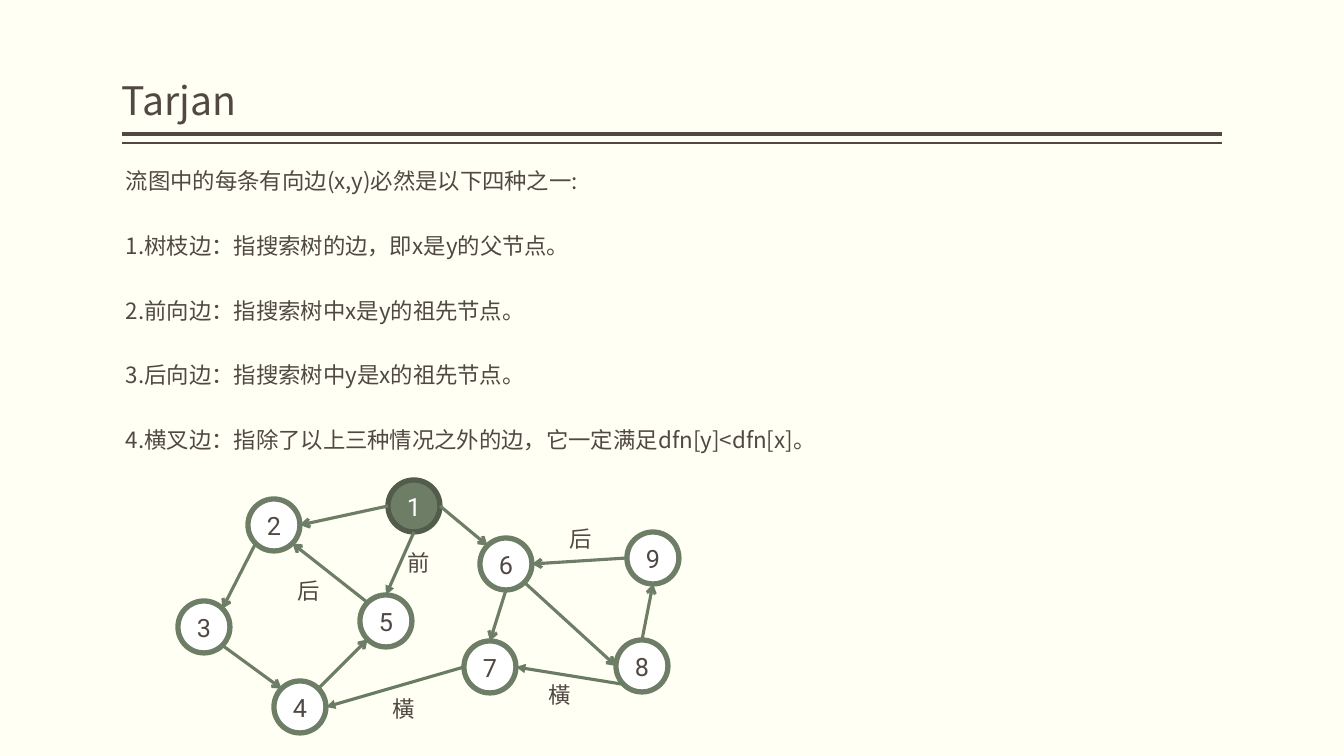
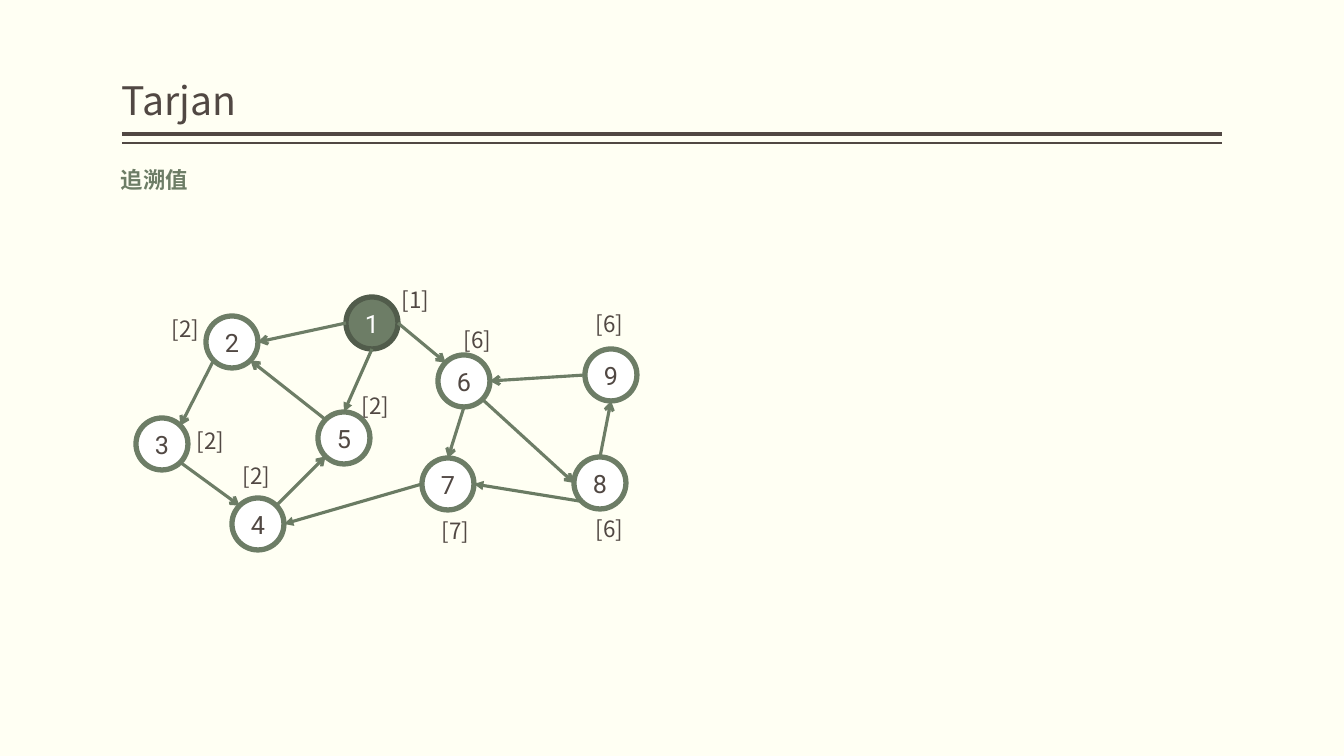
from dataclasses import dataclass
from math import cos, radians, sin

from lxml.etree import SubElement
from pptx import Presentation
from pptx.dml.color import RGBColor
from pptx.enum.shapes import MSO_CONNECTOR, MSO_SHAPE
from pptx.enum.text import MSO_ANCHOR, PP_ALIGN
from pptx.oxml.ns import qn
from pptx.util import Emu, Pt


@dataclass(frozen=True)
class Theme:
    background: str = "FFFFF3"
    ink: str = "514843"
    green: str = "6D7D66"
    special_edge: str = "6A7B63"
    root_line: str = "515C4B"
    white: str = "FFFFFF"
    text_font: str = "Noto Sans CJK SC"
    number_font: str = "Roboto"
    title_size: int = 28
    body_size: int = 16
    number_size: int = 18
    paragraph_gap: int = 8
    node_line: float = 3.78
    edge_line: float = 2.25


THEME = Theme()
PX = 914400 / 100.8
SLIDE_SIZE = (1344, 756)
TITLE_BOX = (122, 8, 1100, 121)
RULES = [(134, 3), (143, 1)]  # y, line width in points
NODE_DIAMETER = 52
LABEL_SIZE = (65, 37)
ROOT = 1

# Node centres and label corners are measured from the graph's origin.
NODES = {
    1: (236, 26), 2: (96, 45), 3: (26, 147), 4: (122, 227), 5: (208, 141),
    6: (328, 84), 7: (312, 187), 8: (464, 186), 9: (475, 78),
}
# Connection sites of an ellipse, counter-clockwise from the top.
SITES = ["top", "top left", "left", "bottom left",
         "bottom", "bottom right", "right", "top right"]
EDGES = [
    (2, "bottom left", 3, "top right", "arrow"),
    (4, "top right", 5, "bottom left", "arrow"),
    (3, "bottom right", 4, "top left", "arrow"),
    (5, "top left", 2, "bottom right", "arrow"),
    (1, "left", 2, "right", "arrow"),
    (1, "right", 6, "top left", "arrow"),
    (6, "bottom", 7, "top", "arrow"),
    (9, "left", 6, "right", "arrow"),
    (8, "top", 9, "bottom", "arrow"),
    (6, "bottom right", 8, "left", "arrow"),
    (8, "bottom left", 7, "right", "triangle"),
    (7, "left", 4, "right", "triangle"),
    (1, "bottom", 5, "top", "triangle"),
]

SLIDES = [
    {
        "title": "Tarjan",
        "body": [
            "流图中的每条有向边(x,y)必然是以下四种之一:",
            "1.树枝边：指搜索树的边，即x是y的父节点。",
            "2.前向边：指搜索树中x是y的祖先节点。",
            "3.后向边：指搜索树中y是x的祖先节点。",
            "4.横叉边：指除了以上三种情况之外的边，它一定满足dfn[y]<dfn[x]。",
        ],
        "body_box": (116, 135, 1092, 328),
        "body_style": {"color": THEME.ink, "line_spacing": 2.0},
        "origin": (178, 480),
        "labels": [
            ("前", 220, 64), ("后", 110, 92), ("后", 382, 40),
            ("橫", 205, 210), ("橫", 361, 196),
        ],
    },
    {
        "title": "Tarjan",
        "body": ["追溯值"],
        "body_box": (111, 148, 1101, 46),
        "body_style": {"color": THEME.green, "line_spacing": 1.5, "bold": True},
        "origin": (136, 297),
        "labels": [
            ("[1]", 256, -16), ("[2]", 26, 13), ("[2]", 51, 125),
            ("[2]", 97, 160), ("[2]", 216, 90), ("[6]", 318, 24),
            ("[7]", 296, 215), ("[6]", 450, 213), ("[6]", 450, 8),
        ],
    },
]


def px(*lengths):
    return [Emu(round(length * PX)) for length in lengths]


def rgb(color):
    return RGBColor.from_string(color)


def write(shape, lines, size=THEME.body_size, color=THEME.ink,
          font=THEME.text_font, bold=False, line_spacing=None, align=None):
    frame = shape.text_frame
    frame.word_wrap = True
    frame.text = "\n".join(lines)
    for index, paragraph in enumerate(frame.paragraphs):
        paragraph.line_spacing = line_spacing
        if index:
            paragraph.space_before = Pt(THEME.paragraph_gap)
        paragraph.alignment = align
        paragraph.font.name = font
        paragraph.font.size = Pt(size)
        paragraph.font.bold = bold
        paragraph.font.color.rgb = rgb(color)
        properties = paragraph._p.pPr.find(qn("a:defRPr"))
        SubElement(properties, qn("a:ea"), typeface=font)
    return frame


def add_text(slide, box, lines, **style):
    return write(slide.shapes.add_textbox(*px(*box)), lines, **style)


def add_line(slide, start, end, color, width, head=None):
    connector = slide.shapes.add_connector(
        MSO_CONNECTOR.STRAIGHT, *px(*start, *end))
    connector.line.color.rgb = rgb(color)
    connector.line.width = Pt(width)
    if head:
        SubElement(connector.line._get_or_add_ln(), qn("a:tailEnd"), type=head)
    SubElement(connector._element.spPr, qn("a:effectLst"))
    return connector


def add_header(slide, title):
    frame = add_text(slide, TITLE_BOX, [title],
                     size=THEME.title_size, line_spacing=0.9)
    frame.vertical_anchor = MSO_ANCHOR.BOTTOM
    frame.margin_left = frame.margin_right = 0
    left, right = TITLE_BOX[0], TITLE_BOX[0] + TITLE_BOX[2]
    for y, width in RULES:
        add_line(slide, (left, y), (right, y), THEME.ink, width)


def add_node(slide, number, center):
    is_root = number == ROOT
    left, top = (value - NODE_DIAMETER / 2 for value in center)
    shape = slide.shapes.add_shape(
        MSO_SHAPE.OVAL, *px(left, top, NODE_DIAMETER, NODE_DIAMETER))
    shape.shadow.inherit = False
    shape.fill.solid()
    shape.fill.fore_color.rgb = rgb(THEME.green if is_root else THEME.white)
    shape.line.color.rgb = rgb(THEME.root_line if is_root else THEME.green)
    shape.line.width = Pt(THEME.node_line)
    frame = write(shape, [str(number)], size=THEME.number_size,
                  color=THEME.white if is_root else THEME.ink,
                  font=THEME.number_font, align=PP_ALIGN.CENTER)
    frame.vertical_anchor = MSO_ANCHOR.MIDDLE
    return shape


def site_point(center, site):
    angle = radians(90 + 45 * SITES.index(site))
    radius = NODE_DIAMETER / 2
    return center[0] + radius * cos(angle), center[1] - radius * sin(angle)


def add_graph(slide, origin, labels):
    centers = {number: (origin[0] + x, origin[1] + y)
               for number, (x, y) in NODES.items()}
    shapes = {number: add_node(slide, number, center)
              for number, center in centers.items()}
    for source, source_site, target, target_site, head in EDGES:
        color = THEME.green if head == "arrow" else THEME.special_edge
        connector = add_line(slide, site_point(centers[source], source_site),
                             site_point(centers[target], target_site),
                             color, THEME.edge_line, head)
        glue = connector._element.find(".//" + qn("p:cNvCxnSpPr"))
        for tag, number, site in (("a:stCxn", source, source_site),
                                  ("a:endCxn", target, target_site)):
            SubElement(glue, qn(tag), id=str(shapes[number].shape_id),
                       idx=str(SITES.index(site)))
    for text, x, y in labels:
        add_text(slide, (origin[0] + x, origin[1] + y, *LABEL_SIZE), [text])


def main():
    presentation = Presentation()
    presentation.slide_width, presentation.slide_height = px(*SLIDE_SIZE)
    background = presentation.slide_master.background.fill
    background.solid()
    background.fore_color.rgb = rgb(THEME.background)
    for content in SLIDES:
        slide = presentation.slides.add_slide(presentation.slide_layouts[6])
        add_header(slide, content["title"])
        add_text(slide, content["body_box"], content["body"],
                 **content["body_style"])
        add_graph(slide, content["origin"], content["labels"])
    presentation.save("out.pptx")


if __name__ == "__main__":
    main()
